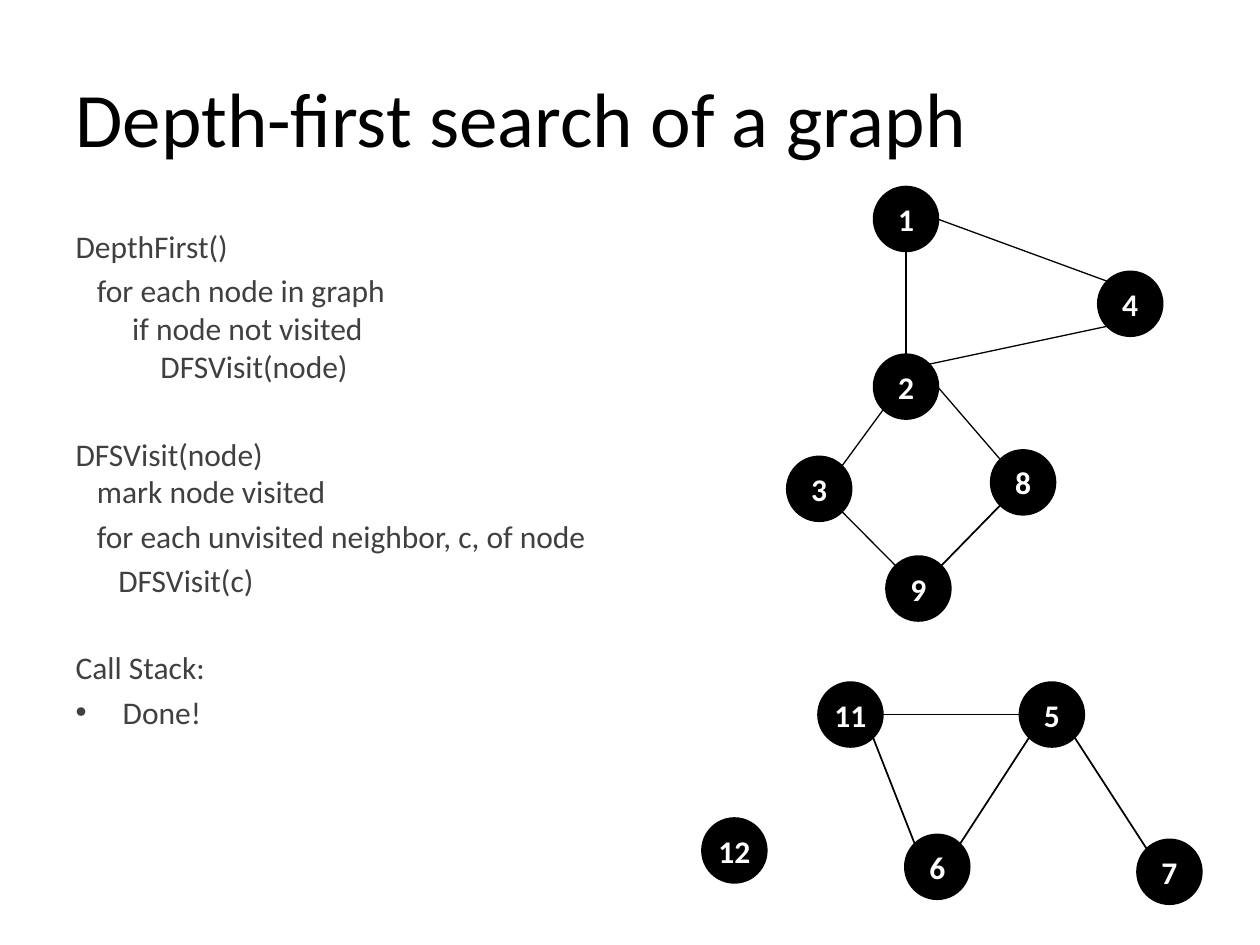
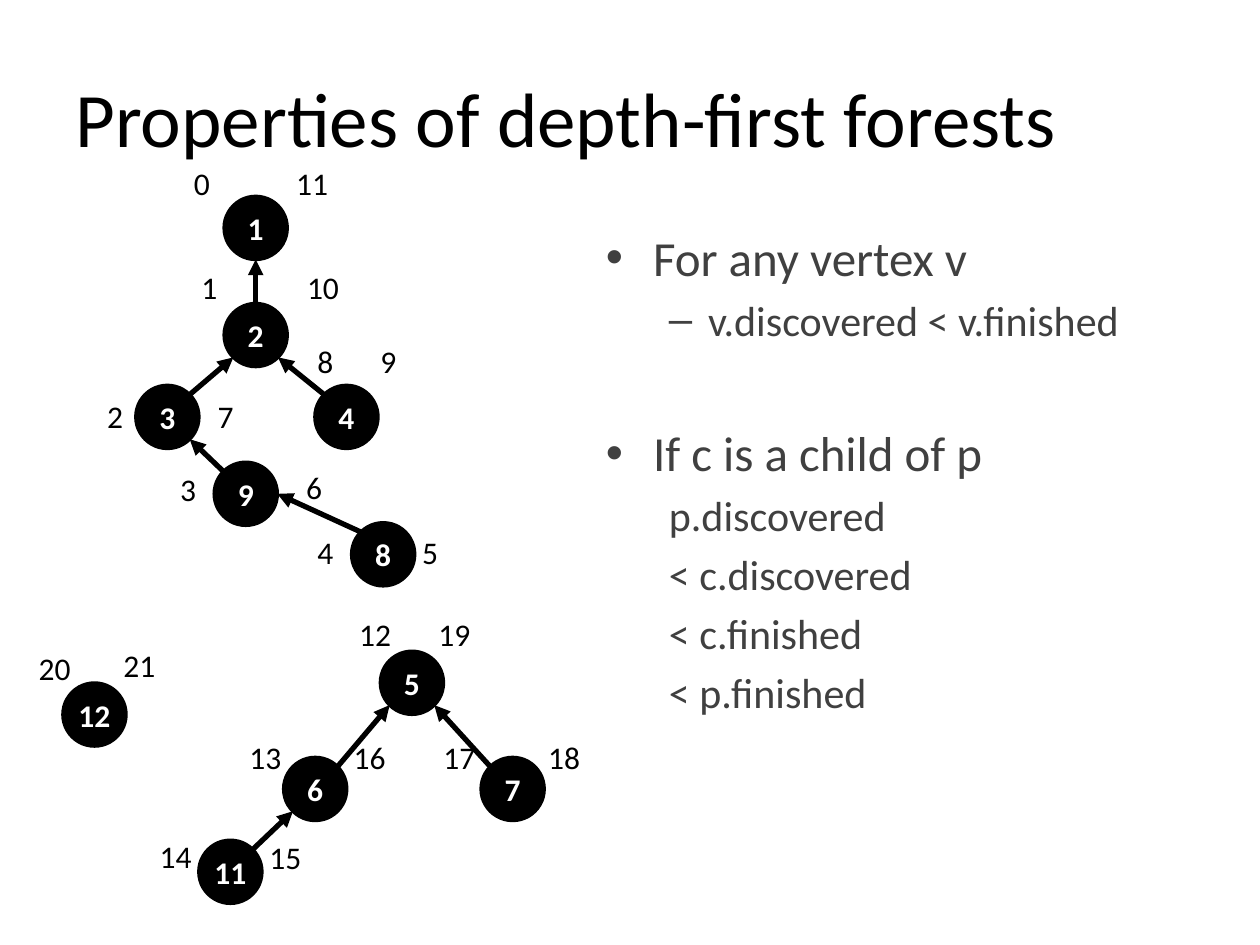
"""Build two slides on depth-first search: the algorithm and its forest."""
from dataclasses import dataclass
from math import sqrt
from typing import NamedTuple

from lxml import etree
from pptx import Presentation
from pptx import util as u
from pptx.dml.color import RGBColor
from pptx.enum import shapes, text
from pptx.oxml.ns import qn

BLACK = RGBColor(0x00, 0x00, 0x00)
WHITE = RGBColor(0xFF, 0xFF, 0xFF)
GREY = RGBColor(0x40, 0x40, 0x40)
FONT = "Calibri"
LABEL_SIZE = 18
DIAMETER = 1.27
DIAGONAL = 1 / sqrt(2)
DIRECTIONS = {
    "N": (0, -1), "E": (1, 0), "S": (0, 1), "W": (-1, 0),
    "NE": (DIAGONAL, -DIAGONAL), "SE": (DIAGONAL, DIAGONAL),
    "SW": (-DIAGONAL, DIAGONAL), "NW": (-DIAGONAL, -DIAGONAL),
}


class Point(NamedTuple):
    left: float
    top: float


class Box(NamedTuple):
    left: float
    top: float
    width: float
    height: float


class Edge(NamedTuple):
    start: int
    start_side: str
    end: int
    end_side: str
    width: float
    arrow: bool = False


@dataclass(frozen=True)
class Line:
    wording: str
    size: int = 18
    indent: float = 0
    hanging: float = 0
    bullet: str = ""
    level: int = 0
    space: float = 0.2
    gap: float = 0


TITLE_BOX = Box(1.27, 0.76, 22.86, 3.18)

CODE_BOX = Box(1.27, 4.45, 13.34, 14.4)
CODE_LINES = [
    Line("DepthFirst()"),
    Line("for each node in graph", indent=0.43),
    Line("if node not visited", indent=1.14, space=0),
    Line("DFSVisit(node)", indent=1.71, space=0),
    Line("DFSVisit(node)", gap=25),
    Line("mark node visited", indent=0.43, space=0),
    Line("for each unvisited neighbor, c, of node", indent=0.43),
    Line("DFSVisit(c)", indent=0.86),
    Line("Call Stack:", gap=25),
    Line("Done!", indent=0.95, hanging=0.95, bullet="•"),
]
GRAPH_NODES = {
    1: Point(17.63, 3.78), 2: Point(17.63, 7.16), 3: Point(15.88, 9.22),
    4: Point(22.15, 5.49), 5: Point(20.57, 13.77), 6: Point(18.26, 16.84),
    7: Point(22.94, 16.94), 8: Point(19.99, 9.09), 9: Point(17.88, 11.23),
    11: Point(16.51, 13.77), 12: Point(14.17, 16.51),
}
GRAPH_EDGES = [
    Edge(1, "S", 2, "N", 0.75), Edge(4, "NW", 1, "E", 0.75),
    Edge(2, "NE", 4, "SW", 0.75), Edge(3, "NE", 2, "SW", 0.75),
    Edge(2, "E", 8, "NW", 0.75), Edge(3, "SE", 9, "NW", 0.75),
    Edge(9, "NE", 8, "SW", 1), Edge(5, "W", 11, "E", 1),
    Edge(6, "NW", 11, "SE", 1), Edge(6, "NE", 5, "SW", 1),
    Edge(5, "SE", 7, "NW", 1),
]

PROPERTY_BOX = Box(11.96, 4.45, 13.44, 12.57)
PROPERTY_LINES = [
    Line("For any vertex v", 28, 0.95, 0.95, "•"),
    Line("v.discovered < v.finished", 24, 2.06, 0.79, "–", 1),
    Line("If c is a child of p", 28, 0.95, 0.95, "•", gap=39),
    *(Line(wording, 24, 1.27, level=1) for wording in
      ("p.discovered", "< c.discovered", "< c.finished", "< p.finished")),
]
FOREST_NODES = {
    1: Point(4.52, 3.96), 2: Point(4.52, 6.12), 3: Point(2.74, 7.77),
    4: Point(6.35, 7.77), 5: Point(7.67, 13.13), 6: Point(5.72, 15.27),
    7: Point(9.7, 15.27), 8: Point(7.09, 10.54), 9: Point(4.32, 9.32),
    11: Point(4.01, 16.94), 12: Point(1.27, 13.77),
}
FOREST_EDGES = [Edge(*ends, 3, True) for ends in (
    (2, "N", 1, "S"), (3, "NE", 2, "SW"), (4, "NW", 2, "SE"),
    (9, "NW", 3, "SE"), (8, "NW", 9, "E"), (6, "NE", 5, "SW"),
    (7, "NW", 5, "SE"), (11, "NE", 6, "SW"),
)]
TIMESTAMPS = [
    Point(3.66, 3.18), Point(3.81, 5.28), Point(1.91, 7.87),
    Point(3.38, 9.35), Point(6.15, 10.62), Point(8.26, 10.62),
    Point(5.92, 9.32), Point(4.14, 7.87), Point(6.15, 6.78),
    Point(7.42, 6.78), Point(5.94, 5.28), Point(5.72, 3.18),
    Point(6.99, 12.27), Point(4.78, 14.76), Point(2.97, 16.74),
    Point(5.18, 16.76), Point(6.88, 14.76), Point(8.69, 14.76),
    Point(10.8, 14.76), Point(8.59, 12.27), Point(0.53, 12.95),
    Point(2.24, 12.9),
]


def format_runs(paragraph, size: float, colour: RGBColor, bold: bool = False) -> None:
    for run in paragraph.runs:
        run.font.name = FONT
        run.font.size = u.Pt(size)
        run.font.color.rgb = colour
        run.font.bold = bold


def place(shape, box: Box) -> None:
    shape.left, shape.top, shape.width, shape.height = map(u.Cm, box)


def set_bullet(paragraph, line: Line) -> None:
    properties = paragraph._p.get_or_add_pPr()
    properties.set("marL", str(u.Cm(line.indent)))
    properties.set("indent", str(-u.Cm(line.hanging)))
    if line.bullet:
        etree.SubElement(properties, qn("a:buChar")).set("char", line.bullet)
    else:
        etree.SubElement(properties, qn("a:buNone"))


def add_text_slide(presentation, title: str, body_box: Box, lines: list[Line]):
    slide = presentation.slides.add_slide(presentation.slide_layouts[1])
    heading, body = slide.placeholders
    place(heading, TITLE_BOX)
    heading.text_frame.text = title
    heading.text_frame.vertical_anchor = text.MSO_ANCHOR.MIDDLE
    heading.text_frame.auto_size = text.MSO_AUTO_SIZE.NONE
    paragraph = heading.text_frame.paragraphs[0]
    paragraph.alignment = text.PP_ALIGN.LEFT
    format_runs(paragraph, 44, BLACK)

    place(body, body_box)
    body.text_frame.text = "\n".join(line.wording for line in lines)
    body.text_frame.auto_size = text.MSO_AUTO_SIZE.NONE
    for paragraph, line in zip(body.text_frame.paragraphs, lines):
        paragraph.level = line.level
        paragraph.space_before = u.Pt(line.size * line.space + line.gap)
        set_bullet(paragraph, line)
        format_runs(paragraph, line.size, GREY)
    return slide


def add_node(slide, number: int, corner: Point) -> None:
    node = slide.shapes.add_shape(shapes.MSO_SHAPE.OVAL,
                                  *map(u.Cm, (*corner, DIAMETER, DIAMETER)))
    node.shadow.inherit = False
    node.fill.solid()
    node.fill.fore_color.rgb = BLACK
    node.line.color.rgb = BLACK
    node.line.width = u.Pt(2)
    frame = node.text_frame
    frame.margin_left = frame.margin_right = 0
    frame.word_wrap = False
    frame.vertical_anchor = text.MSO_ANCHOR.MIDDLE
    frame.text = str(number)
    frame.paragraphs[0].alignment = text.PP_ALIGN.CENTER
    format_runs(frame.paragraphs[0], LABEL_SIZE, WHITE, bold=True)


def rim_point(corner: Point, side: str) -> Point:
    across, down = DIRECTIONS[side]
    radius = DIAMETER / 2
    return Point(corner.left + radius * (1 + across), corner.top + radius * (1 + down))


def add_edge(slide, nodes: dict[int, Point], edge: Edge) -> None:
    start = rim_point(nodes[edge.start], edge.start_side)
    end = rim_point(nodes[edge.end], edge.end_side)
    connector = slide.shapes.add_connector(shapes.MSO_CONNECTOR.STRAIGHT,
                                           *map(u.Cm, (*start, *end)))
    connector.line.color.rgb = BLACK
    connector.line.width = u.Pt(edge.width)
    if edge.arrow:
        outline = connector.line._get_or_add_ln()
        etree.SubElement(outline, qn("a:tailEnd")).set("type", "triangle")
    etree.SubElement(connector._element.spPr, qn("a:effectLst"))


def add_graph(slide, nodes: dict[int, Point], edges: list[Edge]) -> None:
    for number, corner in nodes.items():
        add_node(slide, number, corner)
    for edge in edges:
        add_edge(slide, nodes, edge)


def add_timestamp(slide, time: int, corner: Point) -> None:
    width = 0.84 if time < 10 else 1.17
    label = slide.shapes.add_textbox(*map(u.Cm, (*corner, width, 1.02)))
    label.text_frame.word_wrap = False
    label.text_frame.auto_size = text.MSO_AUTO_SIZE.SHAPE_TO_FIT_TEXT
    label.text_frame.text = str(time)
    format_runs(label.text_frame.paragraphs[0], LABEL_SIZE, BLACK)


def main() -> None:
    presentation = Presentation()
    presentation.slide_width = u.Cm(25.4)
    presentation.slide_height = u.Cm(19.05)

    search = add_text_slide(presentation, "Depth-first search of a graph",
                            CODE_BOX, CODE_LINES)
    add_graph(search, GRAPH_NODES, GRAPH_EDGES)

    forest = add_text_slide(presentation, "Properties of depth-first forests",
                            PROPERTY_BOX, PROPERTY_LINES)
    add_graph(forest, FOREST_NODES, FOREST_EDGES)
    for time, corner in enumerate(TIMESTAMPS):
        add_timestamp(forest, time, corner)

    presentation.save("out.pptx")


if __name__ == "__main__":
    main()
